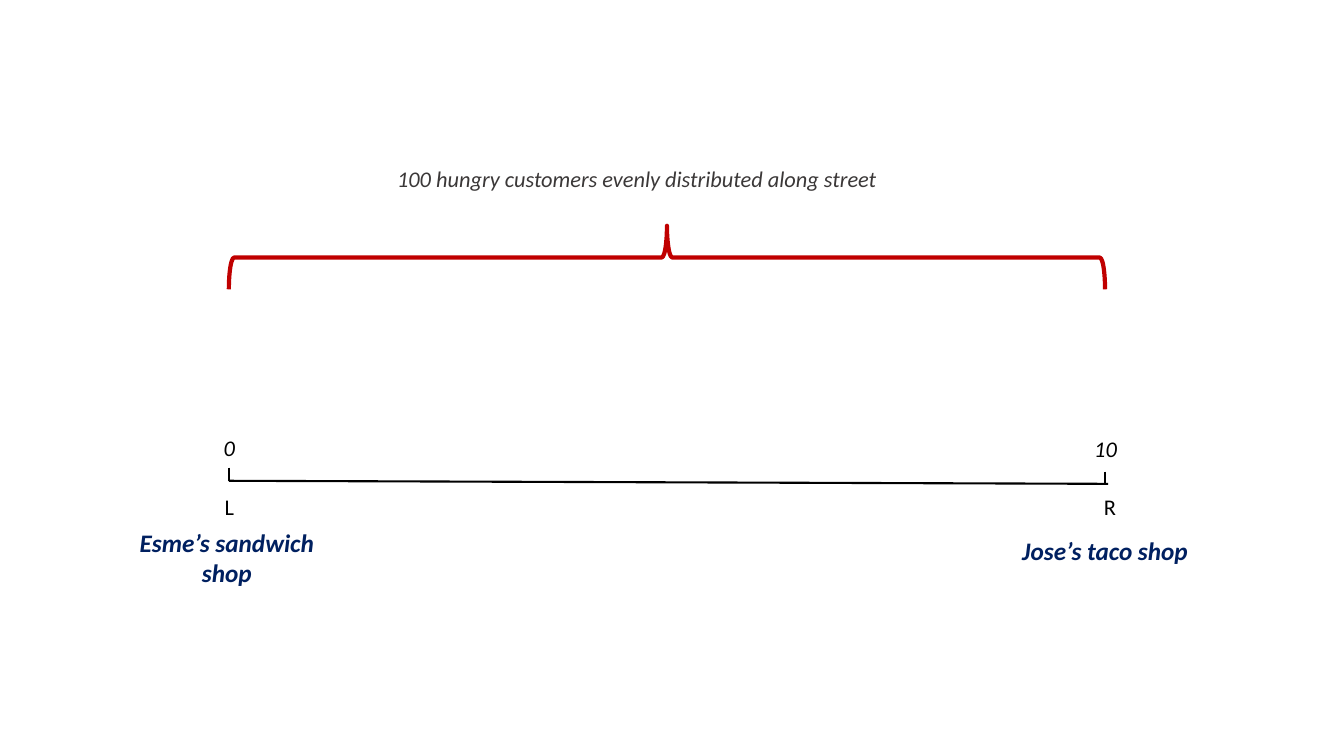
"""Draw a street from 0 to 10 with a shop at each end and customers between."""
from lxml.etree import SubElement
from pptx import Presentation
from pptx.dml.color import RGBColor
from pptx.enum.shapes import MSO_CONNECTOR, MSO_SHAPE
from pptx.enum.text import MSO_AUTO_SIZE, PP_ALIGN
from pptx.oxml.ns import qn
from pptx.util import Pt

PX = 9144
BLACK, GREY, NAVY, RED = "000000", "3B3838", "002060", "C00000"


def color(value):
    return RGBColor.from_string(value)


def add_text(text, box, size=16, ink=BLACK, bold=False, italic=True, align=PP_ALIGN.CENTER):
    frame = slide.shapes.add_textbox(*[n * PX for n in box]).text_frame
    frame.word_wrap = True
    frame.auto_size = MSO_AUTO_SIZE.SHAPE_TO_FIT_TEXT
    paragraph = frame.paragraphs[0]
    paragraph.alignment = align
    run = paragraph.add_run()
    run.text = text
    run.font.name = "Calibri"
    run.font.size = Pt(size)
    run.font.bold = bold
    run.font.italic = italic
    run.font.color.rgb = color(ink)


prs = Presentation()
prs.slide_width, prs.slide_height = 1333 * PX, 750 * PX
slide = prs.slides.add_slide(prs.slide_layouts[6])

street = (1099, 480, 227, 477)
left_tick = (227, 464, 227, 477)
right_tick = (1096, 468, 1096, 481)
for ends in (street, left_tick, right_tick):
    line = slide.shapes.add_connector(MSO_CONNECTOR.STRAIGHT, *[n * PX for n in ends])
    line.line.color.rgb = color(BLACK)
    line.line.width = Pt(1.5)
    SubElement(line._element.spPr, qn("a:effectLst"))

add_text("100 hungry customers evenly distributed along street", (384, 159, 558, 37),
         ink=GREY, align=PP_ALIGN.LEFT)

for position, box in (("0", (205, 426, 45, 37)), ("10", (1074, 427, 45, 37))):
    add_text(position, box)

for end, box in (("L", (213, 484, 28, 37)), ("R", (1085, 484, 43, 37))):
    add_text(end, box, italic=False, align=PP_ALIGN.LEFT)

for shop, box in (("Esme’s sandwich shop", (118, 518, 214, 71)),
                  ("Jose’s taco shop", (989, 526, 214, 40))):
    add_text(shop, box, size=18, ink=NAVY, bold=True)

customers = slide.shapes.add_shape(MSO_SHAPE.LEFT_BRACE, 630 * PX, -179 * PX, 63 * PX, 869 * PX)
customers.rotation = 90
customers.shadow.inherit = False
customers.fill.background()
customers.line.color.rgb = color(RED)
customers.line.width = Pt(3)

prs.save("out.pptx")
